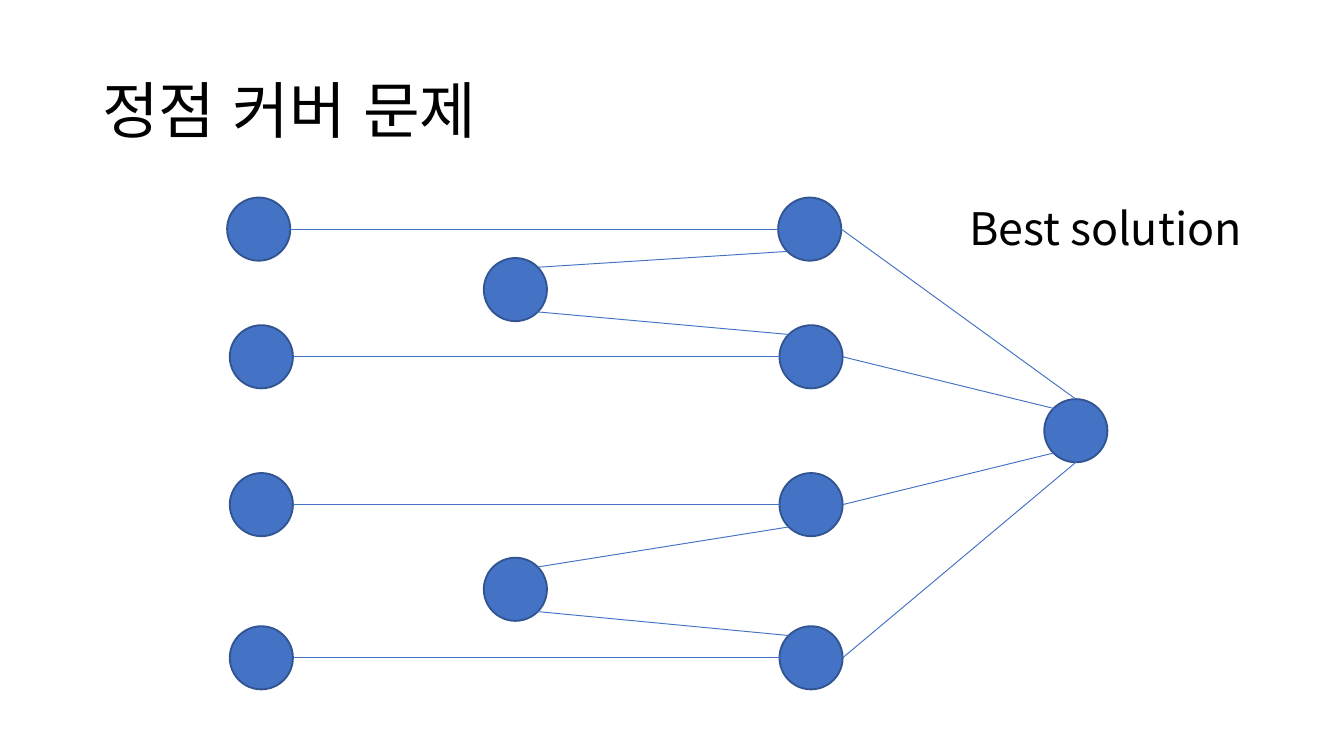
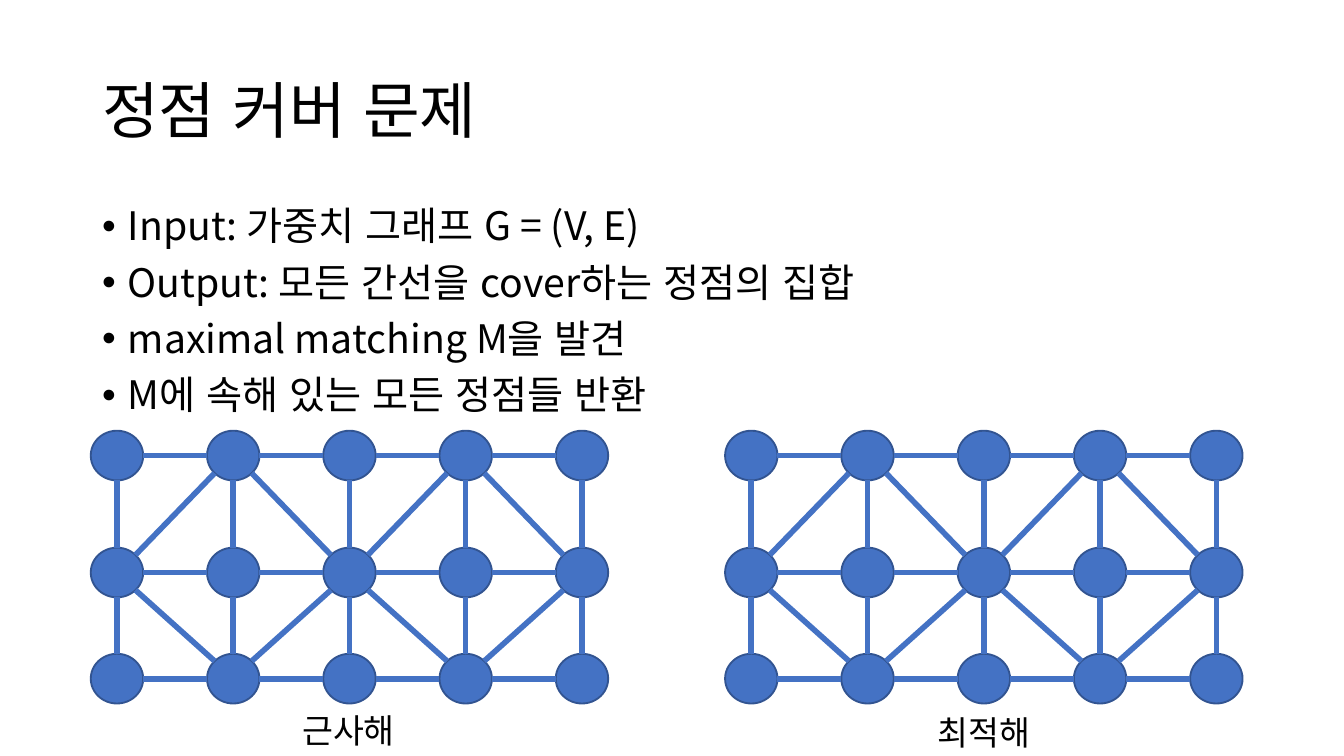
import math

import pptx
import pptx.dml.color
import pptx.enum.lang
import pptx.enum.shapes
import pptx.enum.text
import pptx.oxml.ns
import pptx.util
from lxml import etree

Inches = pptx.util.Inches
Pt = pptx.util.Pt

# Shared look
COLORS = {"text": "000000", "node": "4472C4", "outline": "325491", "edge": "4472C4"}
FONT = "Noto Sans CJK KR"
SLIDE_WIDTH = Inches(10)
SLIDE_HEIGHT = SLIDE_WIDTH * 9 // 16
TITLE = "정점 커버 문제"
TITLE_BOX = (0.69, 0.3, 8.62, 1.09)
BODY_BOX = (0.69, 1.5, 8.62, 3.57)
BULLET_INDENT = 0.19

# Slide 1: node name -> left, top
SOLUTION_TEXT = "Best solution"
SOLUTION_NODE_SIZE = (0.47, 0.47)
SOLUTION_NODES = {
    "hub": (7.77, 2.97),
    "right 1": (5.79, 1.47), "right 2": (5.8, 2.42),
    "right 3": (5.8, 3.52), "right 4": (5.8, 4.66),
    "middle 1": (3.6, 1.92), "middle 2": (3.6, 4.15),
    "left 1": (1.69, 1.47), "left 2": (1.71, 2.42),
    "left 3": (1.71, 3.52), "left 4": (1.71, 4.66),
}
# Start node and side, end node and side
SOLUTION_EDGES = [
    ("right 1", "E", "hub", "N"),
    ("right 2", "E", "hub", "NW"),
    ("right 3", "E", "hub", "SW"),
    ("right 4", "E", "hub", "S"),
    ("middle 1", "NE", "right 1", "SW"),
    ("middle 1", "SE", "right 2", "NW"),
    ("middle 2", "NE", "right 3", "SW"),
    ("middle 2", "SE", "right 4", "NW"),
] + [(f"left {row}", "E", f"right {row}", "W") for row in range(1, 5)]

# Slide 2: bullets and two equal grid graphs
BULLETS = [
    "Input: 가중치 그래프 G = (V, E)",
    "Output: 모든 간선을 cover하는 정점의 집합",
    "maximal matching M을 발견",
    "M에 속해 있는 모든 정점들 반환",
]
GRID_NODE_SIZE = (0.39, 0.37)
GRID_ROWS = [3.39, 4.26, 5.05]
GRID_COLUMNS = 5
GRID_WIDTH = 3.46
# Centre of the first column, caption, caption box
GRAPHS = [
    (0.87, "근사해", (2.15, 5.23, 0.96, 0.4)),
    (5.59, "최적해", (6.88, 5.25, 0.96, 0.4)),
]

COMPASS = {"N": (0, -1), "S": (0, 1), "E": (1, 0), "W": (-1, 0),
           "NE": (1, -1), "NW": (-1, -1), "SE": (1, 1), "SW": (-1, 1)}


def color(name):
    return pptx.dml.color.RGBColor.from_string(COLORS[name])


def add_text(slide, box, lines, size):
    shape = slide.shapes.add_textbox(*map(Inches, box))
    frame = shape.text_frame
    frame.word_wrap = True
    frame.text = "\n".join(lines)
    for paragraph in frame.paragraphs:
        for run in paragraph.runs:
            run.font.size = Pt(size)
            run.font.name = FONT
            run.font.language_id = pptx.enum.lang.MSO_LANGUAGE_ID.KOREAN
            run.font.color.rgb = color("text")
            east_asian = etree.SubElement(run.font._element, pptx.oxml.ns.qn("a:ea"))
            east_asian.set("typeface", FONT)
    return frame


def add_layout_text(slide, box, lines, size, space_before=0):
    frame = add_text(slide, box, lines, size)
    frame.margin_left = frame.margin_right = Inches(0.07)
    frame.margin_top = frame.margin_bottom = Inches(0.04)
    for paragraph in frame.paragraphs:
        paragraph.line_spacing = 0.9
        paragraph.space_before = Pt(space_before)
    return frame


def add_titled_slide(presentation):
    slide = presentation.slides.add_slide(presentation.slide_layouts[6])
    frame = add_layout_text(slide, TITLE_BOX, [TITLE], 33)
    frame.vertical_anchor = pptx.enum.text.MSO_ANCHOR.MIDDLE
    return slide


def add_bullet(paragraph):
    properties = paragraph._p.get_or_add_pPr()
    properties.set("marL", str(Inches(BULLET_INDENT)))
    properties.set("indent", str(-Inches(BULLET_INDENT)))
    font = etree.SubElement(properties, pptx.oxml.ns.qn("a:buFont"))
    font.set("typeface", "Arial")
    bullet = etree.SubElement(properties, pptx.oxml.ns.qn("a:buChar"))
    bullet.set("char", "•")


def add_node(slide, center, size):
    (x, y), (width, height) = center, size
    node = slide.shapes.add_shape(
        pptx.enum.shapes.MSO_SHAPE.OVAL, Inches(x - width / 2), Inches(y - height / 2),
        Inches(width), Inches(height))
    node.shadow.inherit = False
    node.fill.solid()
    node.fill.fore_color.rgb = color("node")
    node.line.color.rgb = color("outline")
    node.line.width = Pt(1)


def rim_point(center, size, direction):
    """Point where an ellipse's edge meets one of its eight directions."""
    scale = 0.5 / math.hypot(*direction)
    return [Inches(c + s * d * scale) for c, s, d in zip(center, size, direction)]


def add_edge(slide, start, end, width):
    edge = slide.shapes.add_connector(
        pptx.enum.shapes.MSO_CONNECTOR.STRAIGHT, *start, *end)
    edge.line.color.rgb = color("edge")
    edge.line.width = Pt(width)
    etree.SubElement(edge._element.spPr, pptx.oxml.ns.qn("a:effectLst"))


def add_graph(slide, centers, edges, size, width):
    for center in centers.values():
        add_node(slide, center, size)
    for start, start_direction, end, end_direction in edges:
        add_edge(slide, rim_point(centers[start], size, start_direction),
                 rim_point(centers[end], size, end_direction), width)


def grid_edges():
    """Join neighbours, plus diagonals from even columns of the middle row."""
    steps = []
    for row in range(len(GRID_ROWS)):
        for column in range(GRID_COLUMNS):
            steps += [(row, column, 1, 0), (row, column, 0, 1)]
            if row == 1 and column % 2 == 0:
                steps += [(row, column, dx, dy) for dx in (-1, 1) for dy in (-1, 1)]
    return [((row, column), (dx, dy), (row + dy, column + dx), (-dx, -dy))
            for row, column, dx, dy in steps
            if 0 <= column + dx < GRID_COLUMNS and row + dy < len(GRID_ROWS)]


def build_solution_slide(presentation):
    slide = add_titled_slide(presentation)
    frame = add_layout_text(slide, BODY_BOX, [SOLUTION_TEXT], 24, 7.5)
    frame.paragraphs[0].alignment = pptx.enum.text.PP_ALIGN.RIGHT
    width, height = SOLUTION_NODE_SIZE
    centers = {name: (left + width / 2, top + height / 2)
               for name, (left, top) in SOLUTION_NODES.items()}
    edges = [(start, COMPASS[start_side], end, COMPASS[end_side])
             for start, start_side, end, end_side in SOLUTION_EDGES]
    add_graph(slide, centers, edges, SOLUTION_NODE_SIZE, 0.5)


def build_matching_slide(presentation):
    slide = add_titled_slide(presentation)
    frame = add_layout_text(slide, BODY_BOX, BULLETS, 21, 7.5)
    for paragraph in frame.paragraphs:
        add_bullet(paragraph)

    pitch = GRID_WIDTH / (GRID_COLUMNS - 1)
    for first_column, caption, caption_box in GRAPHS:
        centers = {(row, column): (first_column + column * pitch, y)
                   for row, y in enumerate(GRID_ROWS)
                   for column in range(GRID_COLUMNS)}
        add_graph(slide, centers, grid_edges(), GRID_NODE_SIZE, 3)
        caption_frame = add_text(slide, caption_box, [caption], 18)
        caption_frame.word_wrap = False
        caption_frame.auto_size = pptx.enum.text.MSO_AUTO_SIZE.SHAPE_TO_FIT_TEXT


def main():
    presentation = pptx.Presentation()
    presentation.slide_width = SLIDE_WIDTH
    presentation.slide_height = SLIDE_HEIGHT
    build_solution_slide(presentation)
    build_matching_slide(presentation)
    presentation.save("out.pptx")


if __name__ == "__main__":
    main()
